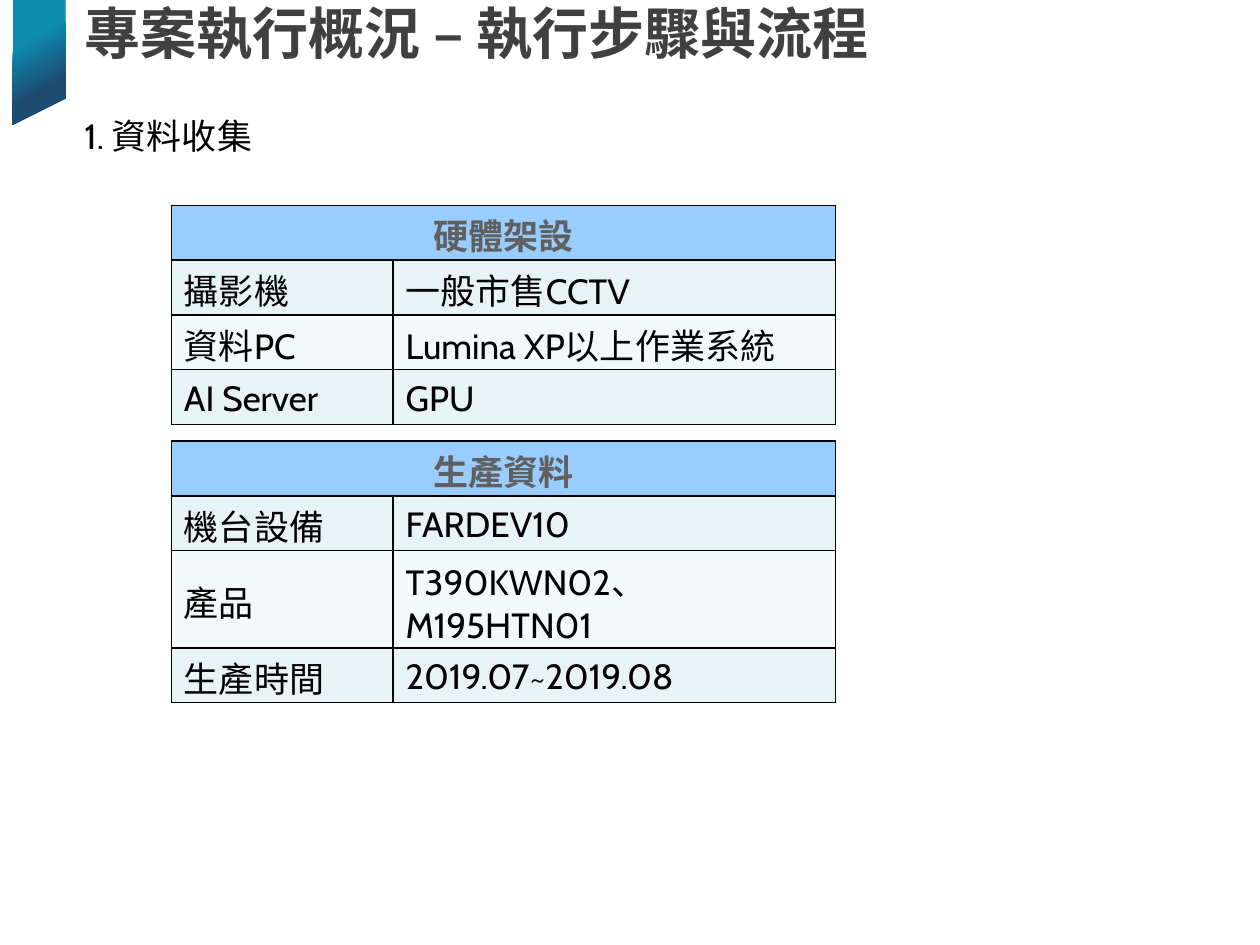
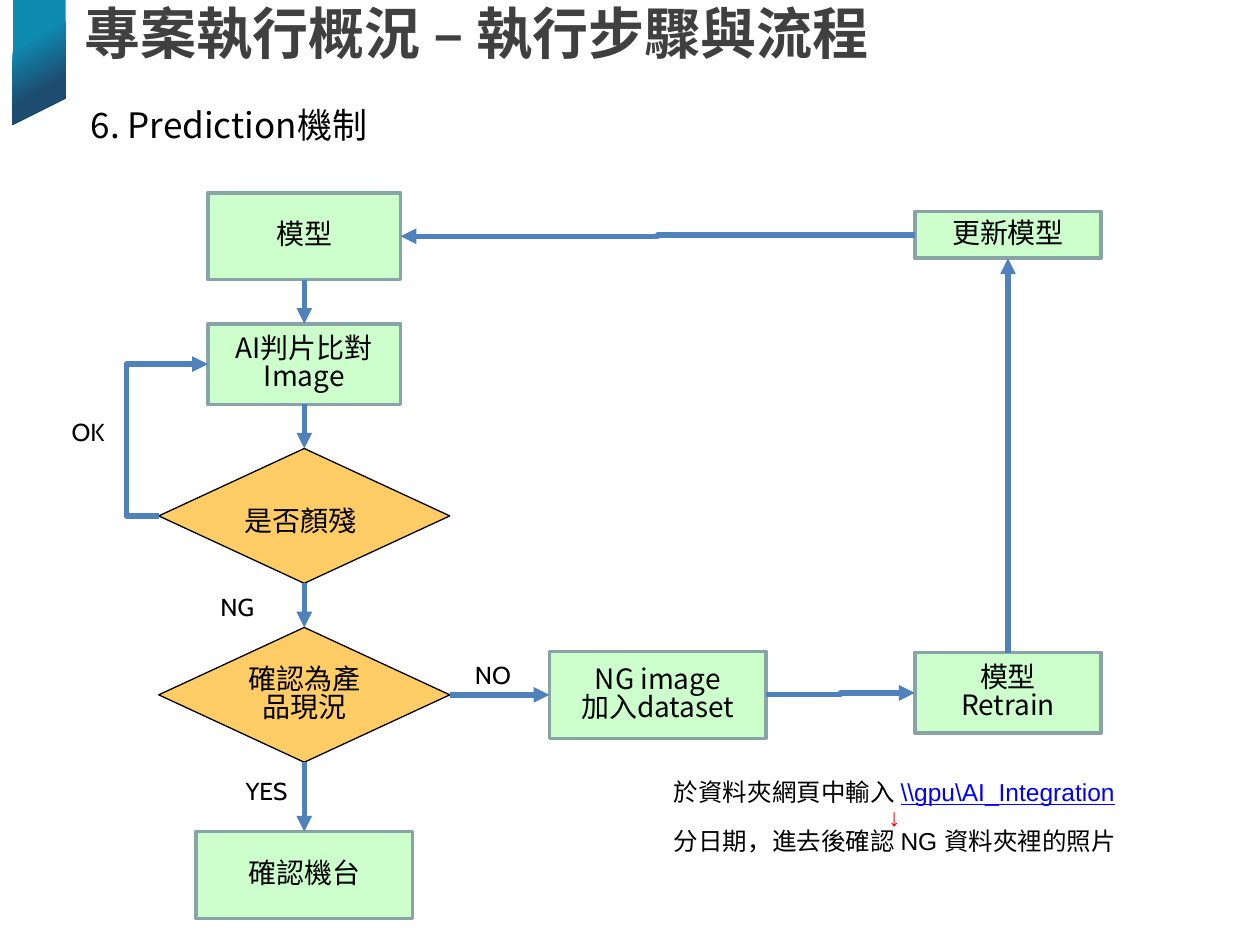
from lxml import etree
from pptx import Presentation
from pptx.dml.color import RGBColor
from pptx.enum.shapes import MSO_CONNECTOR, MSO_SHAPE
from pptx.enum.text import MSO_ANCHOR, MSO_AUTO_SIZE, PP_ALIGN
from pptx.oxml.ns import qn
from pptx.util import Inches, Pt

BOX, DECISION = MSO_SHAPE.RECTANGLE, MSO_SHAPE.FLOWCHART_DECISION
STRAIGHT, ELBOW = MSO_CONNECTOR.STRAIGHT, MSO_CONNECTOR.ELBOW
TOP, MIDDLE = MSO_ANCHOR.TOP, MSO_ANCHOR.MIDDLE
LEFT, CENTER = PP_ALIGN.LEFT, PP_ALIGN.CENTER
NO_FIT = MSO_AUTO_SIZE.NONE
SITE_TOP, SITE_LEFT, SITE_BOTTOM, SITE_RIGHT = range(4)

BLACK = RGBColor(0x00, 0x00, 0x00)
TITLE_GRAY = RGBColor(0x40, 0x40, 0x40)
HEADER_GRAY = RGBColor(0x60, 0x60, 0x60)
HEADER_BLUE = RGBColor(0x99, 0xCC, 0xFF)
BANDS = RGBColor(0xE7, 0xF3, 0xF4), RGBColor(0xF3, 0xF9, 0xFA)
STEP_GREEN = RGBColor(0xCC, 0xFF, 0xCC)
STEP_BORDER = RGBColor(0x89, 0xA4, 0xA7)
DECISION_ORANGE = RGBColor(0xFF, 0xCC, 0x66)
ARROW_BLUE = RGBColor(0x4F, 0x81, 0xBD)
LINK_BLUE = RGBColor(0x00, 0x00, 0xFF)
RED = RGBColor(0xFF, 0x00, 0x00)
RIBBON_STOPS = ((0.32, RGBColor(0x0F, 0x8A, 0xB1)), (0.7, RGBColor(0x1E, 0x4B, 0x70)))

CABIN, ARIAL, NOTO = "Cabin", "Arial", "Noto Sans CJK SC"
COLUMNS, ROWS = 100, 75
TITLE = "專案執行概況 – 執行步驟與流程"
TIGHT, SNUG = 0.83, 0.9

STEP_STYLE = {BOX: (STEP_GREEN, STEP_BORDER, 2, MIDDLE),
              DECISION: (DECISION_ORANGE, BLACK, 0.75, TOP)}

HARDWARE = ("硬體架設", [("攝影機", "一般市售CCTV"),
                     ("資料PC", "Lumina XP以上作業系統"),
                     ("AI Server", "GPU")])
PRODUCTION = ("生產資料", [("機台設備", "FARDEV10"),
                       ("產品", "T390KWN02、\nM195HTN01"),
                       ("生產時間", "2019.07~2019.08")])


class Deck:
    """Holds the presentation, its grid and the slide being filled."""

    def __init__(self):
        self.presentation = Presentation()
        self.presentation.slide_width = Inches(10)
        self.presentation.slide_height = Inches(7.5)
        self.slide = None

    def across(self, columns):
        return round(self.presentation.slide_width * columns / COLUMNS)

    def down(self, rows):
        return round(self.presentation.slide_height * rows / ROWS)

    def area(self, left, top, width, height):
        return self.across(left), self.down(top), self.across(width), self.down(height)

    def fill_text(self, frame, text, size, font=CABIN, color=BLACK, align=LEFT,
                  spacing=TIGHT, **style):
        """Fill in lines; a line is a string or a list of (text, format) runs."""
        lines = text.split("\n") if isinstance(text, str) else text
        for number, line in enumerate(lines):
            paragraph = frame.add_paragraph() if number else frame.paragraphs[0]
            paragraph_format = {"alignment": align, "line_spacing": spacing,
                                "space_before": Pt(0)}
            for name, value in paragraph_format.items():
                setattr(paragraph, name, value)
            for words, changes in [(line, {})] if isinstance(line, str) else line:
                run = paragraph.add_run()
                run.text = words
                look = {"name": font, "size": Pt(size), "bold": False, **style, **changes}
                run.font.color.rgb = look.pop("color", color)
                for name, value in look.items():
                    setattr(run.font, name, value)
                etree.SubElement(run._r.get_or_add_rPr(), qn("a:ea"), typeface=NOTO)

    def place(self, shape, area, anchor=TOP):
        for name, value in zip(("left", "top", "width", "height"), self.area(*area)):
            setattr(shape, name, value)
        frame = shape.text_frame
        settings = {"word_wrap": True, "auto_size": NO_FIT, "vertical_anchor": anchor}
        for name, value in settings.items():
            setattr(frame, name, value)
        return frame

    def start_slide(self, heading, area, font):
        layout = self.presentation.slide_layouts[1]
        self.slide = self.presentation.slides.add_slide(layout)
        self.ribbon()
        frame = self.place(self.slide.shapes.title, (5.7, 0, 80.6, 17.1))
        self.fill_text(frame, TITLE, 32, NOTO, TITLE_GRAY, spacing=SNUG, bold=True)
        frame = self.place(self.slide.placeholders[1], area)
        self.fill_text(frame, heading, 20, font, spacing=SNUG)
        properties = frame.paragraphs[0]._p.get_or_add_pPr()
        for name in ("marL", "indent"):
            properties.set(name, "0")
        etree.SubElement(properties, qn("a:buNone"))

    def ribbon(self):
        corners = [(self.across(column), self.down(row))
                   for column, row in ((1, 0), (5.2, 0), (5.2, 7.8), (1, 9.9))]
        builder = self.slide.shapes.build_freeform(*corners[0])
        builder.add_line_segments(corners[1:], close=True)
        shape = builder.convert_to_shape()
        shape.shadow.inherit = False
        shape.line.fill.background()
        shape.fill.gradient()
        shape.fill.gradient_angle = 300
        for stop, (position, color) in zip(shape.fill.gradient_stops, RIBBON_STOPS):
            stop.position, stop.color.rgb = position, color

    def cell(self, cell, text, fill, **style):
        cell.fill.solid()
        cell.fill.fore_color.rgb = fill
        settings = {"vertical_anchor": MIDDLE, "margin_top": Inches(0.03), "margin_bottom": 0}
        for name, value in settings.items():
            setattr(cell, name, value)
        properties = cell._tc.get_or_add_tcPr()
        for position, edge in enumerate(("lnL", "lnR", "lnT", "lnB")):
            line = etree.Element(qn(f"a:{edge}"), w=str(Pt(1)))
            solid = etree.SubElement(line, qn("a:solidFill"))
            etree.SubElement(solid, qn("a:srgbClr"), val=str(BLACK))
            properties.insert(position, line)
        if text:
            self.fill_text(cell.text_frame, text, 20, spacing=1.0, **style)

    def table(self, top, header, records):
        row_heights = [4.35] + [4.35 if "\n" not in value else 7.65 for _, value in records]
        shape = self.slide.shapes.add_table(
            len(row_heights), 2, *self.area(13.6, top, 52.7, sum(row_heights)))
        table = shape.table
        for column, width in zip(table.columns, (17.6, 35.1)):
            column.width = self.across(width)
        for row, height in zip(table.rows, row_heights):
            row.height = self.down(height)
        self.cell(table.cell(0, 0), header, HEADER_BLUE,
                  color=HEADER_GRAY, align=CENTER, bold=True)
        self.cell(table.cell(0, 1), "", HEADER_BLUE)
        table.cell(0, 0).merge(table.cell(0, 1))
        for row, record in enumerate(records, 1):
            for column, text in enumerate(record):
                self.cell(table.cell(row, column), text, BANDS[(row - 1) % 2])

    def step(self, kind, center, top, width, height, text="", font=NOTO):
        """Add a flow step centred on a column."""
        area = center - width / 2, top, width, height
        fill, border, weight, anchor = STEP_STYLE[kind]
        shape = self.slide.shapes.add_shape(kind, *self.area(*area))
        shape.shadow.inherit = False
        shape.fill.solid()
        shape.fill.fore_color.rgb = fill
        shape.line.color.rgb = border
        shape.line.width = Pt(weight)
        frame = self.place(shape, area, anchor)
        if text:
            self.fill_text(frame, text, 16, font, align=CENTER)
        return shape

    def label(self, area, text, size=14, wrap=True, **style):
        box = self.slide.shapes.add_textbox(*self.area(*area))
        frame = self.place(box, area)
        frame.word_wrap = wrap
        self.fill_text(frame, text, size, **style)
        return frame

    def arrow(self, start, start_site, end, end_site, kind=STRAIGHT, bend=None):
        connector = self.slide.shapes.add_connector(kind, 0, 0, 0, 0)
        connector.begin_connect(start, start_site)
        connector.end_connect(end, end_site)
        connector.line.color.rgb = ARROW_BLUE
        connector.line.width = Pt(3)
        properties = connector._element.spPr
        etree.SubElement(properties.find(qn("a:ln")), qn("a:tailEnd"), type="triangle")
        etree.SubElement(properties, qn("a:effectLst"))
        if bend is not None:
            guides = properties.find(f"{qn('a:prstGeom')}/{qn('a:avLst')}")
            etree.SubElement(guides, qn("a:gd"), name="adj1", fmla=f"val {round(bend * 100000)}")


def collection_slide(deck):
    deck.start_slide("1. 資料收集", (5.7, 9, 67.9, 4.3), CABIN)
    deck.table(16.3, *HARDWARE)
    deck.table(35, *PRODUCTION)


def prediction_slide(deck):
    deck.start_slide("6. Prediction機制", (6.2, 8.1, 67.9, 4.3), NOTO)
    main_column, side_column = 24.15, 80

    model = deck.step(BOX, main_column, 15.3, 15.3, 6.9, "模型", CABIN)
    compare = deck.step(BOX, main_column, 25.7, 15.3, 6.4, "AI判片比對\nImage")
    defect = deck.step(DECISION, main_column, 35.6, 23.1, 10.7)
    confirm = deck.step(DECISION, main_column, 49.8, 23.1, 10.7, "確認為產品現況", ARIAL)
    machine = deck.step(BOX, main_column, 66, 17.2, 6.9, "確認機台", CABIN)
    dataset = deck.step(BOX, 52.2, 51.7, 17.2, 6.9, "NG image\n加入dataset")
    retrain = deck.step(BOX, side_column, 51.8, 14.8, 6.4, "模型\nRetrain")
    update = deck.step(BOX, side_column, 16.8, 14.8, 3.7, "更新模型", CABIN)

    main_line = (model, compare, defect, confirm, machine)
    for upper, lower in zip(main_line, main_line[1:]):
        deck.arrow(upper, SITE_BOTTOM, lower, SITE_TOP)
    deck.arrow(defect, SITE_LEFT, compare, SITE_LEFT, ELBOW, bend=-0.66)
    deck.arrow(confirm, SITE_RIGHT, dataset, SITE_LEFT)
    deck.arrow(dataset, SITE_RIGHT, retrain, SITE_LEFT, ELBOW)
    deck.arrow(retrain, SITE_TOP, update, SITE_BOTTOM)
    deck.arrow(update, SITE_LEFT, model, SITE_RIGHT, ELBOW)

    deck.label((18.4, 39.9, 10.9, 3.7), "是否顏殘", 16, wrap=False, align=CENTER)
    for left, top, answer in ((4.7, 32.6, "OK"), (16.5, 46.5, "NG"),
                              (36.7, 51.9, "NO"), (18.5, 61.1, "YES")):
        deck.label((left, top, 5.9, 3.3), answer, spacing=1.0)

    note = deck.label((52.5, 61.6, 38.9, 8), [
        [("於資料夾網頁中輸入 ", {}),
         (r"\\gpu\AI_Integration", {"color": LINK_BLUE, "underline": True})],
        [("↓", {"color": RED})],
        "分日期，進去後確認 NG 資料夾裡的照片"], font=ARIAL)
    note.paragraphs[1]._p.get_or_add_pPr().set("marL", str(deck.across(17)))


def main():
    deck = Deck()
    collection_slide(deck)
    prediction_slide(deck)
    deck.presentation.save("out.pptx")


if __name__ == "__main__":
    main()
